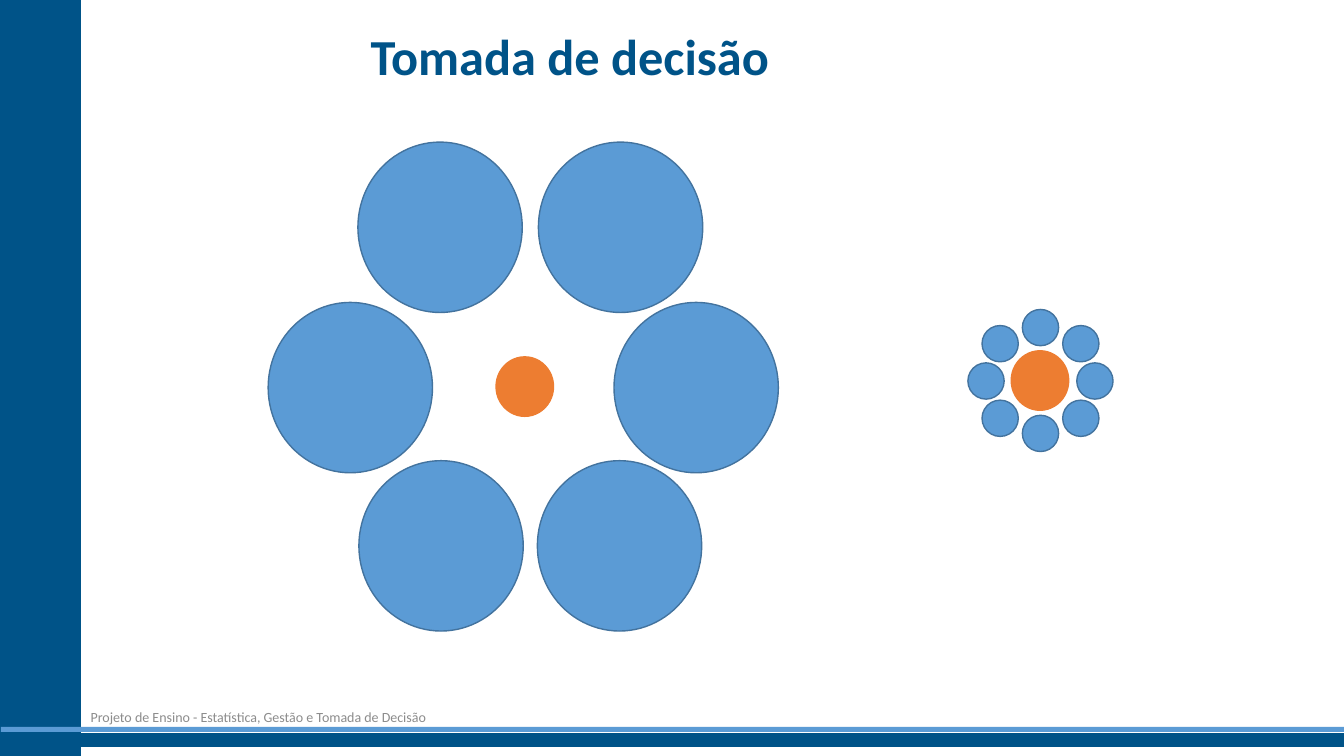
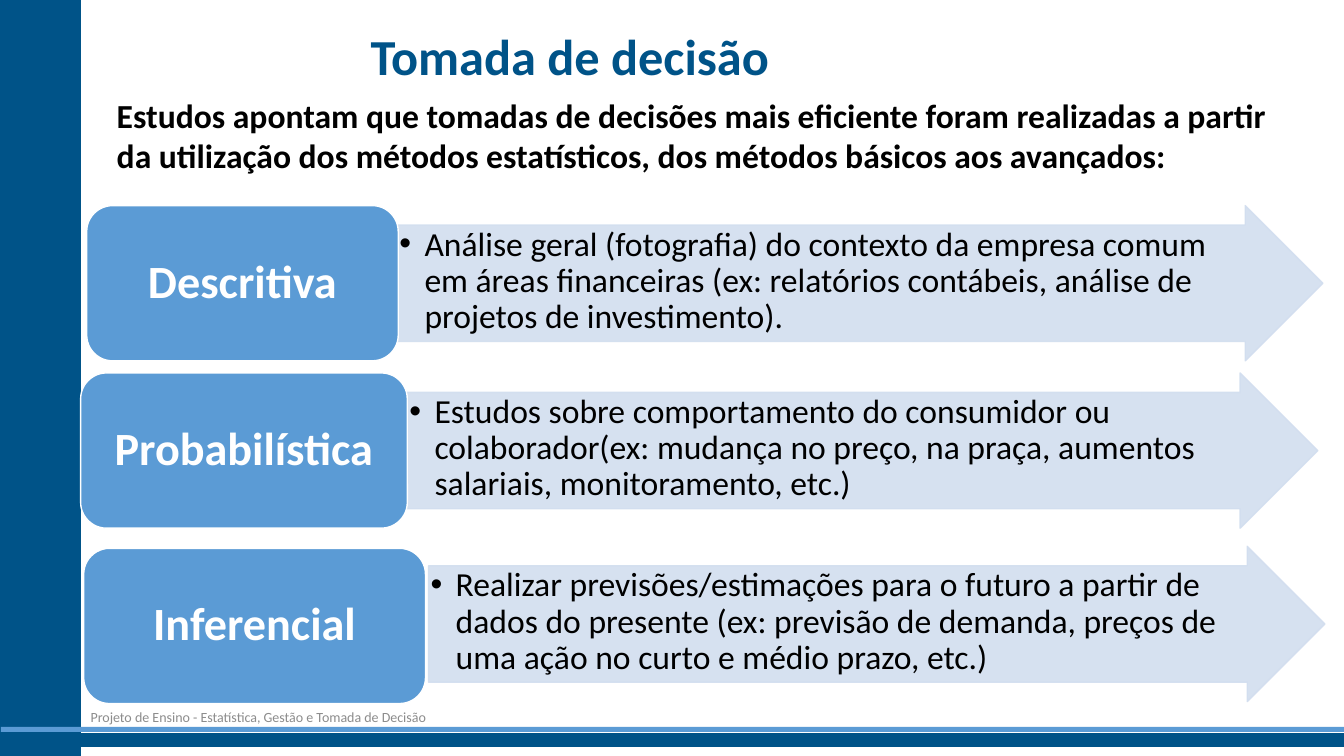
from pptx import Presentation
from pptx.dml.color import RGBColor
from pptx.enum.shapes import MSO_SHAPE as Shape
from pptx.enum.text import MSO_ANCHOR as Anchor, MSO_AUTO_SIZE as AutoSize, PP_ALIGN as Align
from pptx.oxml.ns import qn
from pptx.util import Inches, Pt
from lxml.etree import SubElement

WIDTH, HEIGHT = 13.33, 7.5
FONT = "Calibri"
NAVY, BLUE, EDGE, ORANGE = "005388", "5B9BD5", "43739E", "ED7D31"
PALE, GREY, BLACK, WHITE = "D2DEEF", "8C8C8C", "000000", "FFFFFF"

TITLE = "Tomada de decisão"
FOOTER = "Projeto de Ensino - Estatística, Gestão e Tomada de Decisão"
BANDS = [
    ((0, 0, 0.8, HEIGHT), NAVY, NAVY),
    ((0, 7.28, WIDTH, 0.12), NAVY, NAVY),
    ((0.01, 7.21, WIDTH, 0.05), BLUE, None),
]

CORE_SIZE = (0.57, 0.59)
FLOWERS = [
    {
        "core": (4.92, 3.54),
        "petal": (1.63, 1.69),
        "rows": [(1.41, (3.55, 5.34)), (3.0, (2.66, 6.09)), (4.57, (3.56, 5.33))],
    },
    {
        "core": (10.03, 3.48),
        "petal": (0.36, 0.36),
        "rows": [
            (3.07, (10.14,)),
            (3.23, (9.74, 10.54)),
            (3.6, (9.6, 10.68)),
            (3.97, (9.74, 10.54)),
            (4.12, (10.14,)),
        ],
    },
]

INTRO = (
    "Estudos apontam que tomadas de decisões mais eficiente foram realizadas a partir "
    "da utilização dos métodos estatísticos, dos métodos básicos aos avançados:"
)
ROW_HEIGHT = 1.54
METHODS = [
    {
        "name": "Descritiva",
        "label": (0.86, 2.04, 3.09),
        "arrow": (3.94, 2.04, 9.18),
        "detail": "Análise geral (fotografia) do contexto da empresa comum em áreas financeiras "
        "(ex: relatórios contábeis, análise de projetos de investimento).",
    },
    {
        "name": "Probabilística",
        "label": (0.8, 3.7, 3.24),
        "arrow": (4.04, 3.7, 9.03),
        "detail": "Estudos sobre comportamento do consumidor ou colaborador(ex: mudança no preço, "
        "na praça, aumentos salariais, monitoramento, etc.)",
    },
    {
        "name": "Inferencial",
        "label": (0.83, 5.44, 3.39),
        "arrow": (4.25, 5.42, 8.89),
        "detail": "Realizar previsões/estimações para o futuro a partir de dados do presente "
        "(ex: previsão de demanda, preços de uma ação no curto e médio prazo, etc.)",
    },
]


def color(value):
    return RGBColor.from_string(value)


def write(shape, text, size=24, ink=BLACK, bold=False, align=Align.LEFT, anchor=Anchor.TOP,
          margins=(0.1, 0.05, 0.1, 0.05), spacing=1.0, bullet=False):
    frame = shape.text_frame
    frame.word_wrap = True
    frame.auto_size = AutoSize.NONE
    frame.vertical_anchor = anchor
    sides = ("margin_left", "margin_top", "margin_right", "margin_bottom")
    for side, margin in zip(sides, margins):
        setattr(frame, side, Inches(margin))
    para = frame.paragraphs[0]
    para.alignment = align
    para.line_spacing = spacing
    if bullet:
        settings = para._p.get_or_add_pPr()
        settings.set("marL", str(Inches(0.25)))
        settings.set("indent", str(Inches(-0.25)))
        SubElement(settings, qn("a:buFont")).set("typeface", "Arial")
        SubElement(settings, qn("a:buChar")).set("char", "•")
    span = para.add_run()
    span.text = text
    span.font.name = FONT
    span.font.size = Pt(size)
    span.font.bold = bold
    span.font.color.rgb = color(ink)


def draw(page, kind, area, fill, line=None, opacity=None):
    shape = page.shapes.add_shape(kind, *map(Inches, area))
    shape.shadow.inherit = False
    shape.fill.solid()
    shape.fill.fore_color.rgb = color(fill)
    if line:
        shape.line.color.rgb = color(line)
        shape.line.width = Pt(1)
    else:
        shape.line.fill.background()
    if opacity:
        for tint in shape._element.spPr.iter(qn("a:srgbClr")):
            SubElement(tint, qn("a:alpha")).set("val", str(opacity * 1000))
    return shape


def add_text(page, area, text, **style):
    box = page.shapes.add_textbox(*map(Inches, area))
    write(box, text, **style)


def add_page(deck):
    page = deck.slides.add_slide(deck.slide_layouts[5])
    for area, fill, line in BANDS:
        draw(page, Shape.RECTANGLE, area, fill, line)
    add_text(page, (0.8, 6.91, 11.51, 0.4), FOOTER, size=10, ink=GREY, anchor=Anchor.MIDDLE)
    title = page.shapes.title
    title.left, title.top, title.width, title.height = map(Inches, (0.86, 0.16, 6.87, 0.74))
    write(title, TITLE, size=36, ink=NAVY, bold=True, align=Align.RIGHT,
          margins=(0.1, 0.09, 0.1, 0.05))
    return page


def build_circles(deck):
    page = add_page(deck)
    for flower in FLOWERS:
        draw(page, Shape.OVAL, flower["core"] + CORE_SIZE, ORANGE, ORANGE)
        for top, lefts in flower["rows"]:
            for left in lefts:
                draw(page, Shape.OVAL, (left, top) + flower["petal"], BLUE, EDGE)


def build_methods(deck):
    page = add_page(deck)
    add_text(page, (1.06, 0.89, 11.94, 0.91), INTRO, bold=True)
    for method in METHODS:
        arrow = draw(page, Shape.RIGHT_ARROW, method["arrow"] + (ROW_HEIGHT,), PALE, PALE, opacity=90)
        arrow.adjustments[0] = 0.75
        write(arrow, method["detail"], margins=(0.02, 0.02, 0.41, 0.02), spacing=0.9, bullet=True)
        label = draw(page, Shape.ROUNDED_RECTANGLE, method["label"] + (ROW_HEIGHT,), BLUE, WHITE)
        write(label, method["name"], size=33, ink=WHITE, bold=True, align=Align.CENTER,
              anchor=Anchor.MIDDLE, spacing=0.9)


def main():
    deck = Presentation()
    deck.slide_width, deck.slide_height = Inches(WIDTH), Inches(HEIGHT)
    build_circles(deck)
    build_methods(deck)
    deck.save("out.pptx")


if __name__ == "__main__":
    main()
